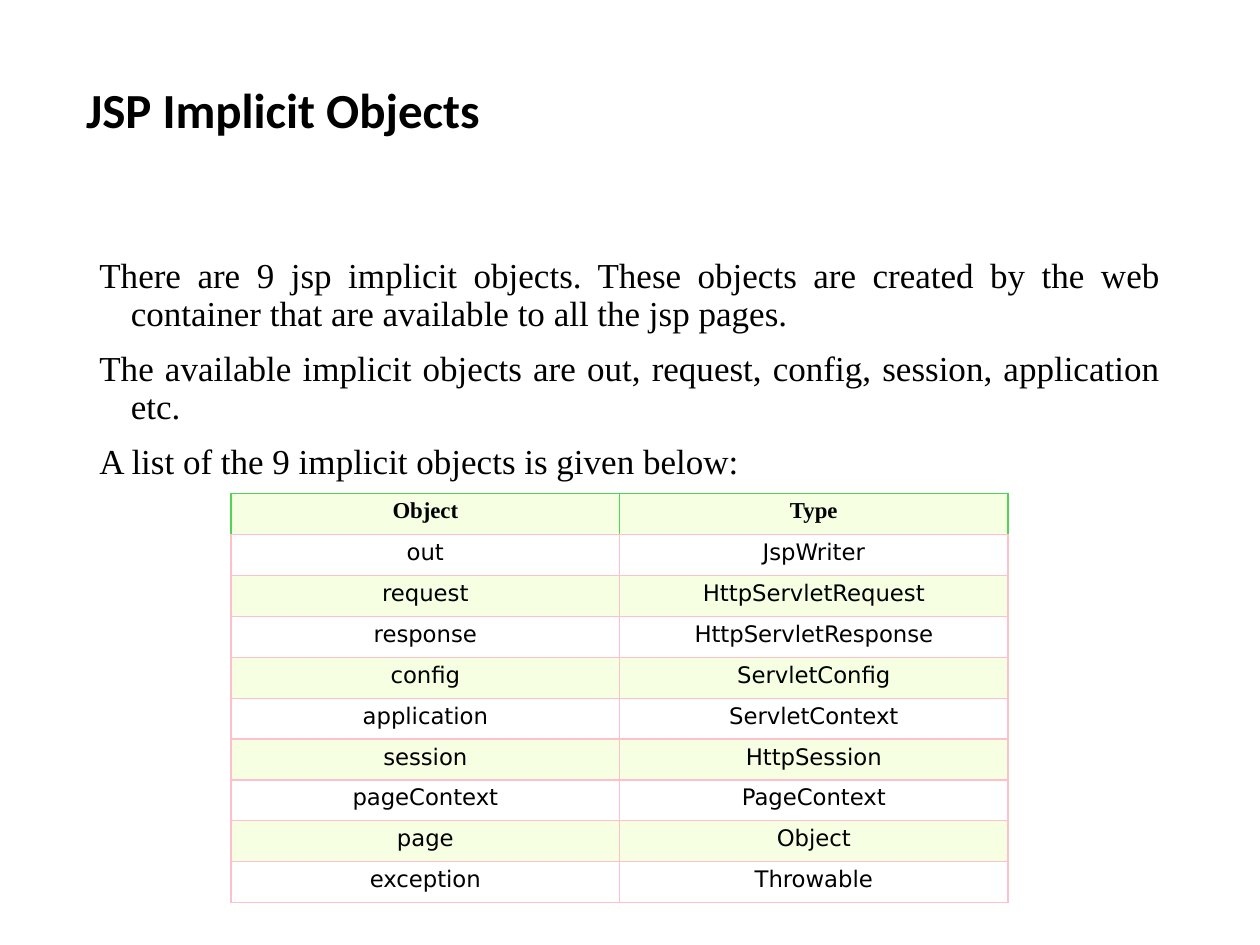
from lxml.etree import SubElement
from pptx import Presentation
from pptx.dml.color import RGBColor
from pptx.enum.text import MSO_ANCHOR, MSO_AUTO_SIZE, PP_ALIGN
from pptx.oxml.ns import qn
from pptx.util import Inches, Pt

TITLE = "JSP Implicit Objects"
PARAGRAPHS = [
    "There are 9 jsp implicit objects. These objects are created by the web "
    "container that are available to all the jsp pages.",
    "The available implicit objects are out, request, config, session, application etc.",
    "A list of the 9 implicit objects is given below:",
]
OBJECTS = [
    ("Object", "Type"),
    ("out", "JspWriter"),
    ("request", "HttpServletRequest"),
    ("response", "HttpServletResponse"),
    ("config", "ServletConfig"),
    ("application", "ServletContext"),
    ("session", "HttpSession"),
    ("pageContext", "PageContext"),
    ("page", "Object"),
    ("exception", "Throwable"),
]
BLACK, WHITE, LIME, GREEN, PINK = "000000", "FFFFFF", "F6FFE1", "50D456", "FFC0CB"

# Slide grid: 120 columns by 90 rows; boxes are left, top, width, height
SLIDE_W, SLIDE_H = Inches(10), Inches(7.5)
COLS, ROWS = 120, 90
TITLE_BOX = (7, 7, 40.3, 6.8)
BODY_BOX = (8.28, 24, 103.44, 57.12)
TABLE_BOX = (22, 47, 74, 39)


def on_grid(box):
    left, top, width, height = box
    return [int(v) for v in (left * SLIDE_W / COLS, top * SLIDE_H / ROWS,
                             width * SLIDE_W / COLS, height * SLIDE_H / ROWS)]


def rgb(color):
    return RGBColor.from_string(color)


def add_text(p, text, font, size, bold=False):
    r = p.add_run()
    r.text = text
    r.font.name, r.font.size, r.font.bold = font, Pt(size), bold
    r.font.color.rgb = rgb(BLACK)


def set_borders(cell, color, bottom):
    tc_pr = cell._tc.get_or_add_tcPr()
    for side in "LRTB":
        ln = SubElement(tc_pr, qn(f"a:ln{side}"), w=str(Pt(0.75)))
        fill = SubElement(ln, qn("a:solidFill"))
        SubElement(fill, qn("a:srgbClr"), val=bottom if side == "B" else color)


def add_title(s):
    sp = s.shapes.title
    sp.left, sp.top, sp.width, sp.height = on_grid(TITLE_BOX)
    tf = sp.text_frame
    tf.word_wrap = False
    tf.auto_size = MSO_AUTO_SIZE.SHAPE_TO_FIT_TEXT
    tf.vertical_anchor = MSO_ANCHOR.TOP
    p = tf.paragraphs[0]
    p.alignment = PP_ALIGN.LEFT
    add_text(p, TITLE, "Calibri", 28, bold=True)


def add_body(s):
    tf = s.shapes.add_textbox(*on_grid(BODY_BOX)).text_frame
    tf.word_wrap = True
    for i, text in enumerate(PARAGRAPHS):
        p = tf.add_paragraph() if i else tf.paragraphs[0]
        p.alignment = PP_ALIGN.JUSTIFY
        p.line_spacing = 0.9
        p.space_before = Pt(10 if i else 0)
        p_pr = p._p.get_or_add_pPr()
        p_pr.set("marL", str(Inches(0.25)))
        p_pr.set("indent", str(-Inches(0.25)))
        add_text(p, text, "Times New Roman", 20)


def add_objects_table(s):
    table = s.shapes.add_table(len(OBJECTS), len(OBJECTS[0]), *on_grid(TABLE_BOX)).table
    for i, row in enumerate(OBJECTS):
        header = i == 0
        for j, text in enumerate(row):
            cell = table.cell(i, j)
            cell.margin_left = cell.margin_right = Inches(0.04)
            cell.margin_top = cell.margin_bottom = Inches(0.04)
            set_borders(cell, GREEN if header else PINK, PINK)
            cell.fill.solid()
            cell.fill.fore_color.rgb = rgb(WHITE if i % 2 else LIME)
            p = cell.text_frame.paragraphs[0]
            p.alignment = PP_ALIGN.CENTER
            add_text(p, text, "Times New Roman" if header else "DejaVu Sans", 13, header)


def main():
    prs = Presentation()
    prs.slide_width, prs.slide_height = SLIDE_W, SLIDE_H
    s = prs.slides.add_slide(prs.slide_layouts.get_by_name("Title Only"))
    add_title(s)
    add_body(s)
    add_objects_table(s)
    prs.save("out.pptx")


if __name__ == "__main__":
    main()
